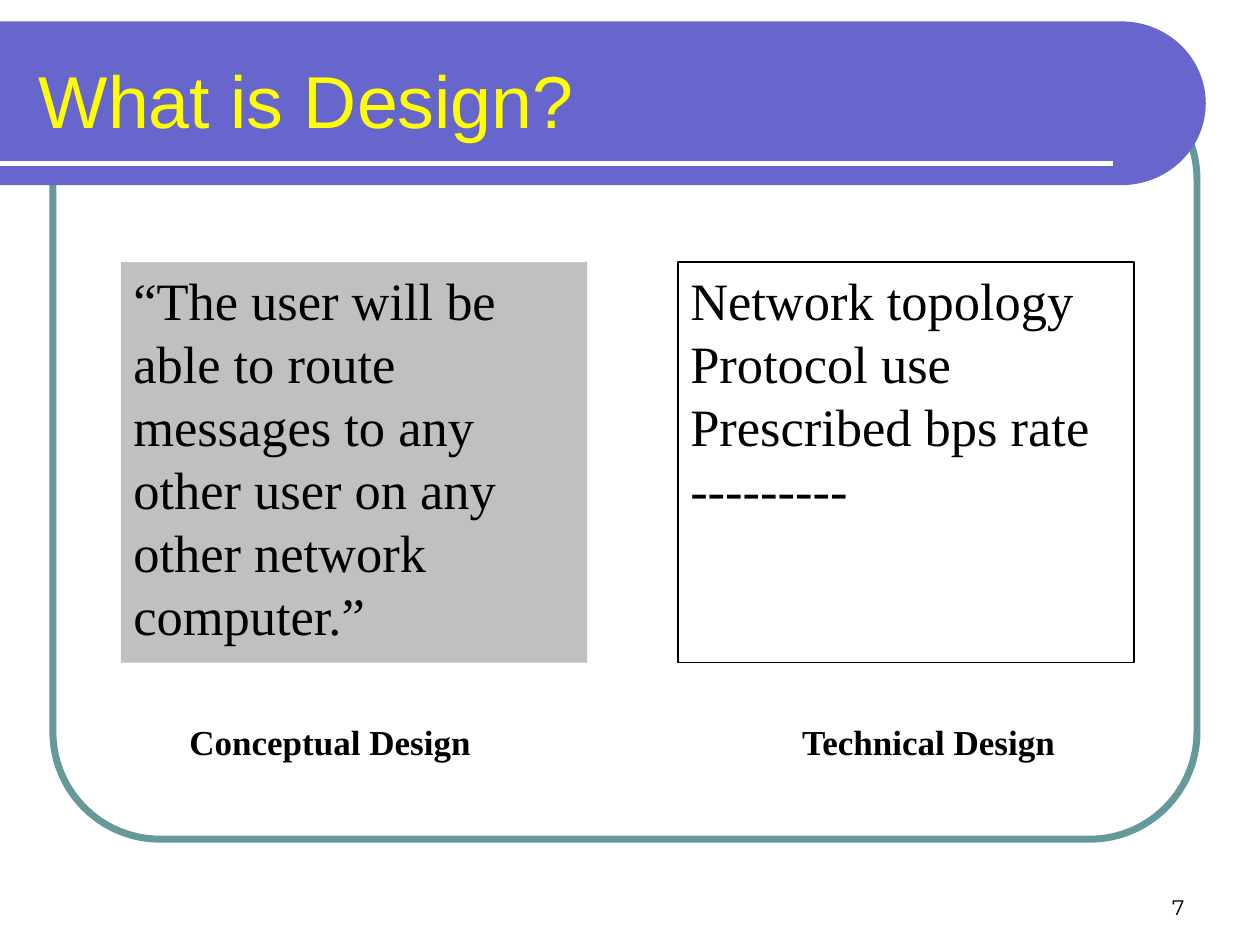
"""Build the slide that sets conceptual design beside technical design."""
from dataclasses import dataclass
from math import cos, pi, sin
from typing import Optional

from lxml import etree
from pptx import Presentation
from pptx import util as u
from pptx.dml.color import RGBColor
from pptx.enum import shapes, text
from pptx.oxml.ns import qn


@dataclass(frozen=True)
class Theme:
    band: str = "6666CC"
    frame: str = "669999"
    panel: str = "C0C0C0"
    white: str = "FFFFFF"
    ink: str = "000000"
    head: str = "FFFF00"
    sans: str = "Arial"
    serif: str = "Times New Roman"
    number: str = "Montserrat"
    title: int = 42
    body: int = 30
    label: int = 20
    small: int = 12


@dataclass(frozen=True)
class Box:
    left: float
    top: float
    width: float
    height: float

    def rect(self) -> list:
        return [u.Inches(n) for n in (self.left, self.top, self.width, self.height)]


@dataclass(frozen=True)
class Style:
    font: str
    size: int
    color: str
    bold: bool = False
    align: text.PP_ALIGN = text.PP_ALIGN.LEFT
    anchor: text.MSO_ANCHOR = text.MSO_ANCHOR.TOP
    inset: float = 0.05


@dataclass(frozen=True)
class Panel:
    box: Box
    words: str
    label: str
    tag: Box
    fill: Optional[str] = None
    line: Optional[str] = None


T = Theme()
TITLE = Style(T.sans, T.title, T.head, inset=0.11)
BODY = Style(T.serif, T.body, T.ink)
LABEL = Style(T.serif, T.label, T.ink, True, text.PP_ALIGN.CENTER)
NUMBER = Style(T.number, T.small, T.ink, align=text.PP_ALIGN.RIGHT,
               anchor=text.MSO_ANCHOR.BOTTOM)

PANELS = [
    Panel(Box(0.96, 2.08, 3.7, 3.18),
          "“The user will be able to route messages to any other user "
          "on any other network computer.”",
          "Conceptual Design", Box(1.08, 5.67, 3.08, 0.44), fill=T.panel),
    Panel(Box(5.38, 2.08, 3.62, 3.18),
          "Network topology\nProtocol use\nPrescribed bps rate\n---------",
          "Technical Design", Box(5.83, 5.67, 3.08, 0.44), line=T.ink),
]


def rgb(code: str) -> RGBColor:
    return RGBColor.from_string(code)


def paint(shape, fill: Optional[str] = None, line: Optional[str] = None,
          width: float = 0.75) -> None:
    shape.shadow.inherit = False
    if fill:
        shape.fill.solid()
        shape.fill.fore_color.rgb = rgb(fill)
    else:
        shape.fill.background()
    if line:
        shape.line.color.rgb = rgb(line)
        shape.line.width = u.Pt(width)
    else:
        shape.line.fill.background()


def write(shape, words: str, style: Style) -> None:
    frame = shape.text_frame
    frame.text = words
    frame.word_wrap = True
    frame.vertical_anchor = style.anchor
    frame.margin_left = frame.margin_right = u.Inches(0.1)
    frame.margin_top = frame.margin_bottom = u.Inches(style.inset)
    for para in frame.paragraphs:
        para.alignment = style.align
        for run in para.runs:
            run.font.name = style.font
            run.font.size = u.Pt(style.size)
            run.font.bold = style.bold
            run.font.color.rgb = rgb(style.color)


def note(slide, box: Box, words: str, style: Style) -> None:
    write(slide.shapes.add_textbox(*box.rect()), words, style)


def banner(slide, box: Box, bend: float, steps: int = 48) -> None:
    edge = box.left + box.width - bend
    half = box.height / 2
    turns = [pi * n / steps - pi / 2 for n in range(steps + 1)]
    arc = [(u.Inches(edge + bend * cos(a)),
            u.Inches(box.top + half + half * sin(a))) for a in turns]
    left, top = u.Inches(box.left), u.Inches(box.top)
    path = slide.shapes.build_freeform(left, top)
    path.add_line_segments(arc + [(left, u.Inches(box.top + box.height))])
    paint(path.convert_to_shape(), T.band)


def rule(slide, left: float, right: float, top: float) -> None:
    line = slide.shapes.add_connector(
        shapes.MSO_CONNECTOR.STRAIGHT, u.Inches(left), u.Inches(top),
        u.Inches(right), u.Inches(top))
    line.line.color.rgb = rgb(T.white)
    line.line.width = u.Pt(3)
    etree.SubElement(line._element.spPr, qn("a:effectLst"))


def panel(slide, item: Panel) -> None:
    shape = slide.shapes.add_shape(shapes.MSO_SHAPE.RECTANGLE, *item.box.rect())
    paint(shape, item.fill, item.line)
    write(shape, item.words, BODY)
    note(slide, item.tag, item.label, LABEL)


def main() -> None:
    deck = Presentation()
    deck.slide_width, deck.slide_height = u.Inches(10), u.Inches(7.5)
    slide = deck.slides.add_slide(deck.slide_layouts[6])
    frame = slide.shapes.add_shape(shapes.MSO_SHAPE.ROUNDED_RECTANGLE,
                                   *Box(0.42, 0.57, 9.08, 6.09).rect())
    frame.adjustments[0] = 0.14
    paint(frame, line=T.frame, width=4)
    banner(slide, Box(0, 0.17, 9.57, 1.3), 0.67)
    rule(slide, 0, 8.83, 1.3)
    note(slide, Box(7.17, 6.83, 2.33, 0.52), "7", NUMBER)
    note(slide, Box(0.21, 0.33, 7.37, 1.33), "What is Design?", TITLE)
    for item in PANELS:
        panel(slide, item)
    deck.save("out.pptx")


if __name__ == "__main__":
    main()
